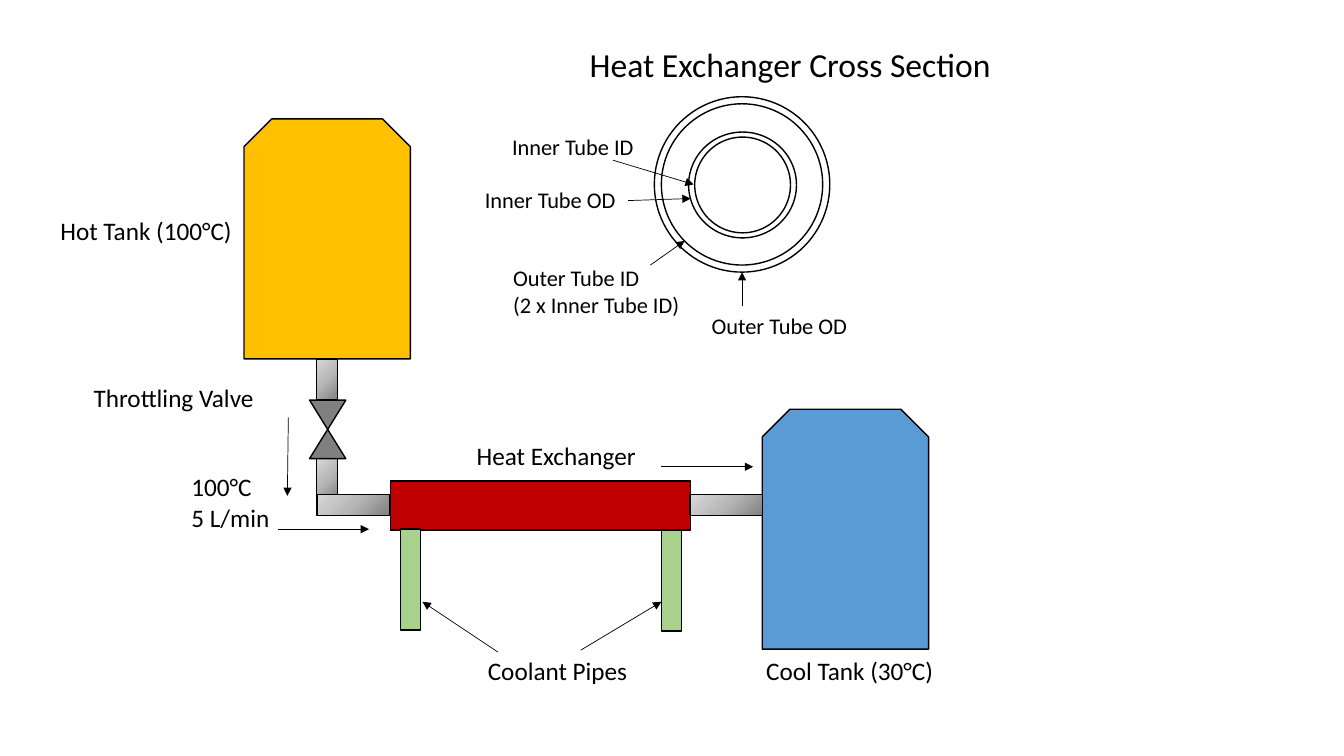
import pptx
import pptx.util
import pptx.oxml
import pptx.oxml.ns
import pptx.dml.color
import pptx.enum.shapes
import pptx.enum.text
from dataclasses import dataclass

KIND = pptx.enum.shapes.MSO_SHAPE
PX = 9144  # EMU per px, 100 px to the inch


@dataclass(frozen=True)
class Theme:
    font: str = "Calibri"
    ink: str = "000000"
    hot: str = "FFC000"
    cool: str = "5B9BD5"
    core: str = "C00000"
    valve: str = "808080"
    mint: str = "A9D18E"
    steel: tuple = ((0, "808080"), (50, "B7B7B7"), (100, "D9D9D9"))
    title: int = 24
    label: int = 18
    note: int = 16
    edge: float = 1
    thin: float = 0.5


def rgb(code):
    return pptx.dml.color.RGBColor.from_string(code)


def apply(target, values):
    for name, value in values.items():
        setattr(target, name, value)


class Board:
    def __init__(self, slide, theme):
        self.slide = slide
        self.theme = theme

    def line(self, item, width):
        item.line.color.rgb = rgb(self.theme.ink)
        item.line.width = pptx.util.Pt(width)

    def shape(self, kind, box, fill=None, turn=0):
        item = self.slide.shapes.add_shape(kind, *(n * PX for n in box))
        item.shadow.inherit = False
        item.rotation = turn
        if fill:
            item.fill.solid()
            item.fill.fore_color.rgb = rgb(fill)
        else:
            item.fill.background()
        self.line(item, self.theme.edge)
        return item

    def pipe(self, box, turn=0):
        item = self.shape(KIND.RECTANGLE, box, turn=turn)
        item.fill.gradient()
        stops = "".join(
            f'<a:gs pos="{at * 1000}"><a:srgbClr val="{code}"/></a:gs>'
            for at, code in self.theme.steel)
        grad = pptx.oxml.parse_xml(
            f'<a:gradFill {pptx.oxml.ns.nsdecls("a")} rotWithShape="1">'
            f'<a:gsLst>{stops}</a:gsLst><a:path path="circle">'
            '<a:fillToRect l="100000" t="100000"/></a:path></a:gradFill>')
        props = item._element.spPr
        props.replace(props.find(pptx.oxml.ns.qn("a:gradFill")), grad)

    def ring(self, mid, wide, high):
        box = (mid[0] - wide // 2, mid[1] - high // 2, wide, high)
        self.shape(KIND.OVAL, box)

    def text(self, box, words, size):
        item = self.slide.shapes.add_textbox(*(n * PX for n in box))
        frame = item.text_frame
        apply(frame, {"word_wrap": False,
                      "auto_size": pptx.enum.text.MSO_AUTO_SIZE.SHAPE_TO_FIT_TEXT,
                      "text": words})
        for para in frame.paragraphs:
            for run in para.runs:
                apply(run.font, {"name": self.theme.font,
                                 "size": pptx.util.Pt(size)})
                run.font.color.rgb = rgb(self.theme.ink)

    def arrow(self, *ends):
        item = self.slide.shapes.add_connector(
            pptx.enum.shapes.MSO_CONNECTOR.STRAIGHT, *(n * PX for n in ends))
        self.line(item, self.theme.thin)
        space = pptx.oxml.ns.nsdecls("a")
        item.line._get_or_add_ln().append(
            pptx.oxml.parse_xml(f'<a:tailEnd {space} type="triangle"/>'))
        item._element.spPr.append(
            pptx.oxml.parse_xml(f'<a:effectLst {space}/>'))


def main():
    deck = pptx.Presentation()
    apply(deck, {"slide_width": 1333 * PX, "slide_height": 750 * PX})
    look = Theme()
    board = Board(deck.slides.add_slide(deck.slide_layouts[6]), look)

    # Tanks and exchanger body
    for x, y, fill in ((242, 118, look.hot), (756, 406, look.cool)):
        board.shape(KIND.SNIP_2_SAME_RECTANGLE, (x, y, 165, 238), fill)
    board.shape(KIND.RECTANGLE, (387, 477, 298, 49), look.core)

    # Pipes and throttling valve
    board.pipe((314, 455, 21, 41))
    for y, turn in ((426, 0), (397, 180)):
        board.shape(KIND.ISOSCELES_TRIANGLE, (307, y, 36, 29), look.valve, turn)
    board.pipe((314, 356, 21, 41))
    for x in (340, 710):
        board.pipe((x, 465, 21, 72), 270)
    for x, y in ((656, 526), (397, 525)):
        board.shape(KIND.RECTANGLE, (x, y, 20, 100), look.mint)

    # Tube cross section
    for wide, high in ((174, 174), (107, 105), (95, 95), (160, 160)):
        board.ring((736, 183), wide, high)

    # Labels
    board.text((575, 39, 422, 50), "Heat Exchanger Cross Section", look.title)
    for box, words in (
            ((83, 374, 181, 40), "Throttling Valve"),
            ((463, 432, 180, 40), "Heat Exchanger"),
            ((474, 645, 160, 40), "Coolant Pipes"),
            ((50, 209, 192, 40), "Hot Tank (100°C)"),
            ((750, 645, 188, 40), "Cool Tank (30°C)"),
            ((180, 463, 99, 71), "100°C\n5 L/min")):
        board.text(box, words, look.label)
    for box, words in (
            ((696, 305, 156, 37), "Outer Tube OD"),
            ((499, 257, 187, 64), "Outer Tube ID\n(2 x Inner Tube ID)"),
            ((498, 127, 142, 37), "Inner Tube ID"),
            ((471, 180, 152, 37), "Inner Tube OD")):
        board.text(box, words, look.note)

    # Pointers and flow arrows
    for ends in (
            (576, 645, 656, 597), (494, 647, 419, 597),
            (286, 414, 285, 492), (276, 525, 366, 525), (656, 463, 747, 463),
            (736, 304, 736, 270), (645, 263, 679, 239),
            (608, 159, 688, 183), (623, 199, 685, 197)):
        board.arrow(*ends)

    deck.save("out.pptx")


if __name__ == "__main__":
    main()
